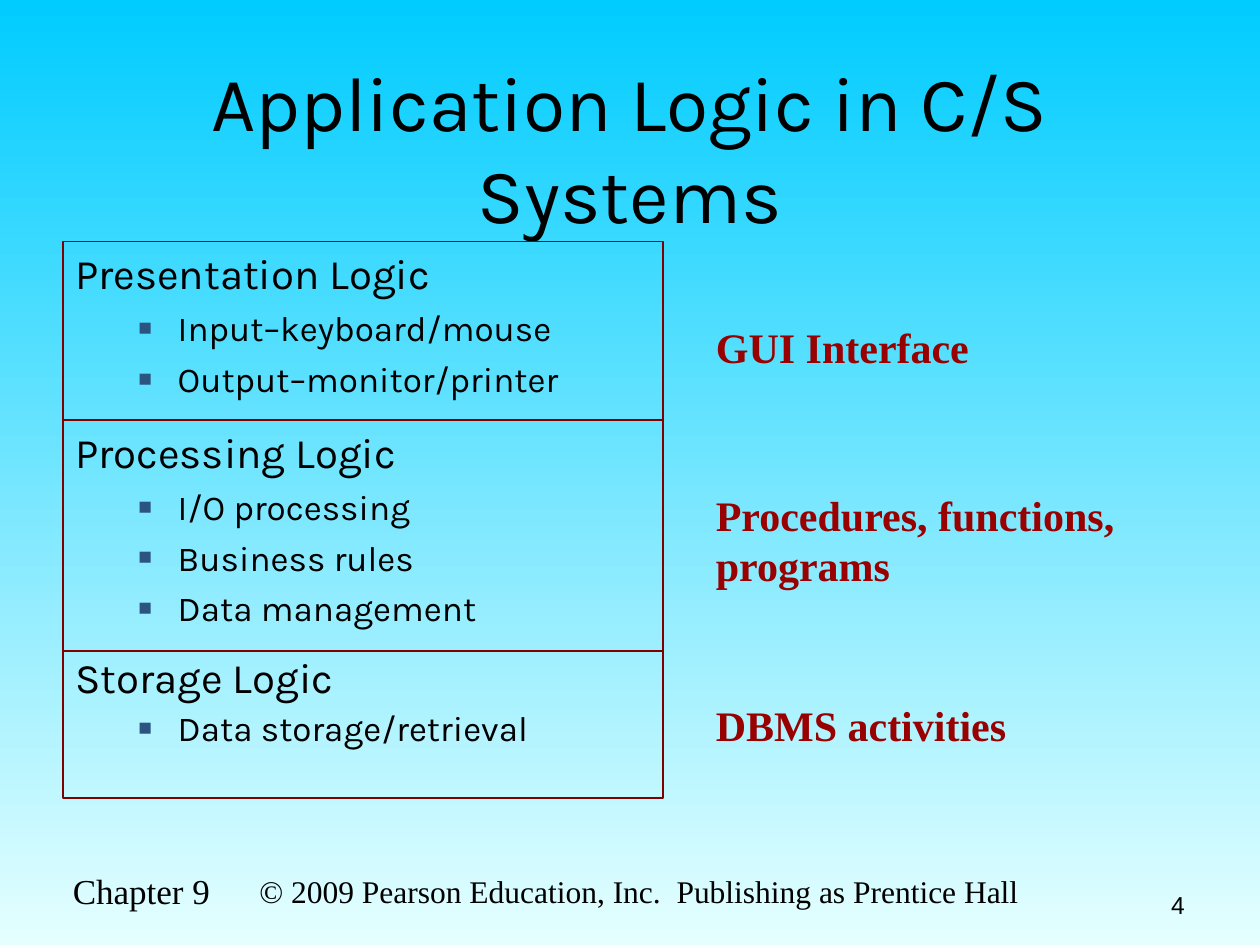
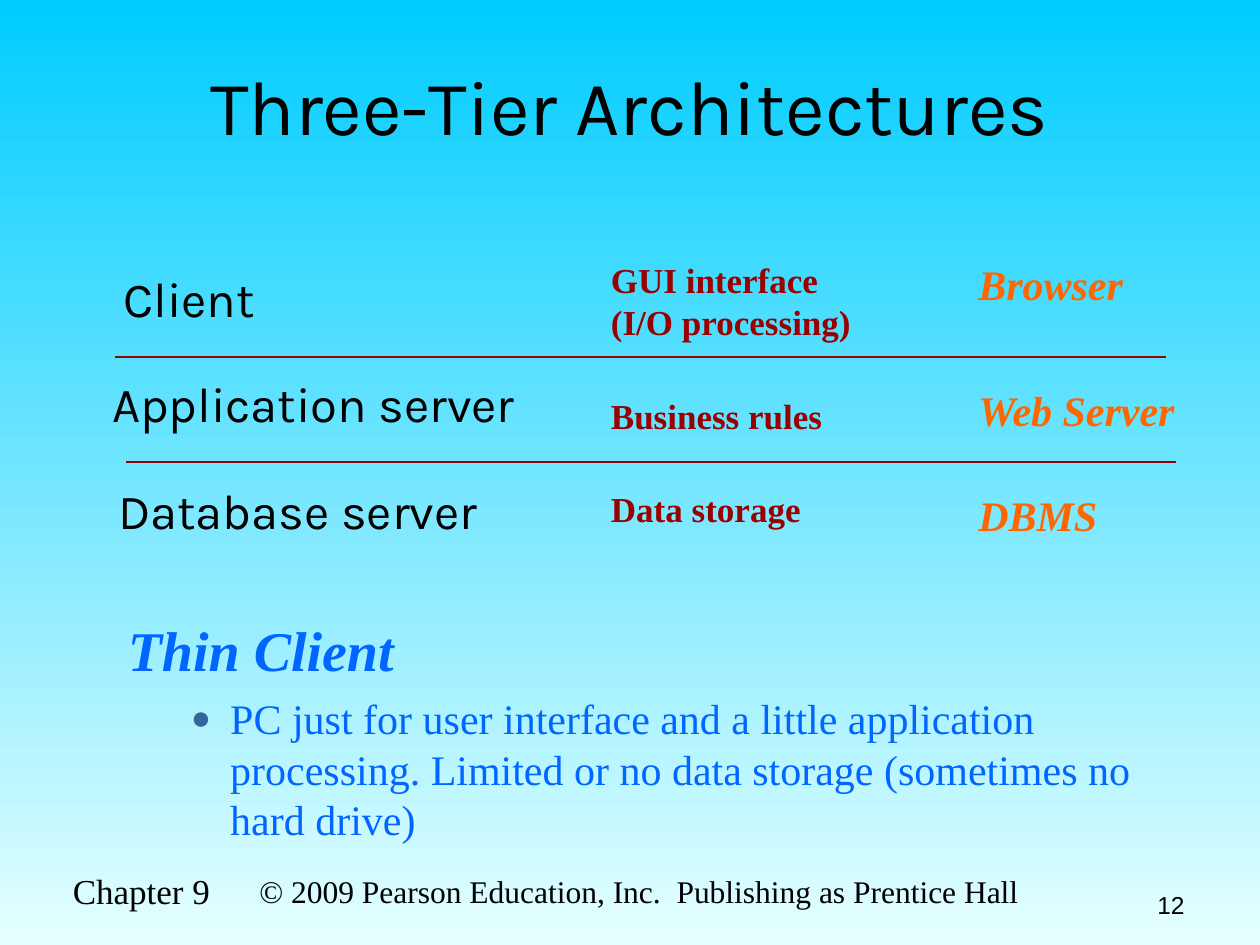
from dataclasses import dataclass, replace

from lxml import etree
from pptx import Presentation
from pptx.dml.color import RGBColor
from pptx.enum.shapes import MSO_CONNECTOR, MSO_SHAPE
from pptx.enum.text import MSO_ANCHOR, PP_ALIGN
from pptx.oxml.ns import qn
from pptx.util import Pt

LEFT, CENTER, RIGHT = PP_ALIGN.LEFT, PP_ALIGN.CENTER, PP_ALIGN.RIGHT
TOP, MIDDLE, BOTTOM = MSO_ANCHOR.TOP, MSO_ANCHOR.MIDDLE, MSO_ANCHOR.BOTTOM
RECTANGLE, STRAIGHT = MSO_SHAPE.RECTANGLE, MSO_CONNECTOR.STRAIGHT

COLORS = {
    "sky": "00CCFF",
    "pale": "E5FFFF",
    "text": "000000",
    "red": "990000",
    "frame": "800000",
    "orange": "FF6600",
    "blue": "0066FF",
    "square": "2B5481",
    "dot": "336699",
}
SERIF, SANS, PLAIN = "Times New Roman", "Karla", "Arial"


@dataclass(frozen=True)
class Style:
    size: float
    font: str = SERIF
    color: str = "text"
    bold: bool = False
    italic: bool = False


@dataclass(frozen=True)
class Bullet:
    symbol: str
    color: str
    percent: int


@dataclass(frozen=True)
class Line:
    text: str
    style: Style
    bullet: Bullet | None = None
    space_before: float = 0
    spacing: float | None = None


@dataclass(frozen=True)
class Box:
    left: float
    top: float
    width: float
    height: float
    align: PP_ALIGN = LEFT
    anchor: MSO_ANCHOR = TOP


@dataclass(frozen=True)
class Layer:
    heading: str
    items: tuple[str, ...]
    height: float
    spacing: float | None = None


TITLE = Style(44, SANS)
LAYER_HEADING = Style(24, SANS)
LAYER_ITEM = Style(20, SANS)
LAYER_NOTE = Style(24, color="red", bold=True)
TIER = Style(28, SANS)
TIER_TASK = Style(20, color="red", bold=True)
TIER_EXAMPLE = Style(24, color="orange", bold=True, italic=True)
CLIENT_HEADING = Style(32, color="blue", bold=True, italic=True)
CLIENT_ITEM = Style(24, color="blue")

SQUARE = Bullet("■", "square", 65)
DOT = Bullet("●", "dot", 80)

LAYERS = (
    Layer("Presentation Logic", ("Input–keyboard/mouse", "Output–monitor/printer"), 102),
    Layer("Processing Logic", ("I/O processing", "Business rules", "Data management"), 132),
    Layer("Storage Logic", ("Data storage/retrieval",), 84, spacing=0.9),
)
LAYER_NOTES = (
    (Box(402, 180, 260, 36), ("GUI Interface",)),
    (Box(402, 276, 260, 65), ("Procedures, functions,", "programs")),
    (Box(402, 396, 260, 36), ("DBMS activities",)),
)
TIERS = (
    (Box(63.5, 150, 270, 41), ("Client",)),
    (Box(57, 210, 270, 41), ("Application server",)),
    (Box(60.5, 271, 270, 41), ("Database server",)),
)
TIER_TASKS = (
    (Box(342, 144, 192, 55), ("GUI interface", "(I/O processing)")),
    (Box(342, 222, 192, 32), ("Business rules",)),
    (Box(342, 275, 192, 32), ("Data storage",)),
)
TIER_EXAMPLES = (
    (Box(552, 144, 150, 36), ("Browser",)),
    (Box(552, 216, 150, 36), ("Web Server",)),
    (Box(552, 276, 150, 36), ("DBMS",)),
)


def rgb(name: str) -> RGBColor:
    return RGBColor.from_string(COLORS[name])


def add_bullet(paragraph, bullet: Bullet) -> None:
    """Give a paragraph a hanging indent and a coloured bullet."""
    properties = paragraph._p.get_or_add_pPr()
    properties.set("marL", str(Pt(58.5)))
    properties.set("indent", str(-Pt(22.5)))
    color = etree.SubElement(properties, qn("a:buClr"))
    etree.SubElement(color, qn("a:srgbClr"), val=COLORS[bullet.color])
    etree.SubElement(properties, qn("a:buSzPct"), val=str(bullet.percent * 1000))
    etree.SubElement(properties, qn("a:buFont"), typeface=PLAIN)
    etree.SubElement(properties, qn("a:buChar"), char=bullet.symbol)


def fill_text(shape, box: Box, lines: list[Line]) -> None:
    frame = shape.text_frame
    frame.word_wrap = True
    frame.vertical_anchor = box.anchor
    for index, line in enumerate(lines):
        paragraph = frame.paragraphs[0] if index == 0 else frame.add_paragraph()
        if line.bullet:
            add_bullet(paragraph, line.bullet)
        paragraph.alignment = box.align
        paragraph.space_before = Pt(line.space_before)
        if line.spacing:
            paragraph.line_spacing = line.spacing
        run = paragraph.add_run()
        run.text = line.text
        font = run.font
        font.name, font.size = line.style.font, Pt(line.style.size)
        font.bold, font.italic = line.style.bold, line.style.italic
        font.color.rgb = rgb(line.style.color)


def bounds(box: Box) -> tuple[Pt, ...]:
    return tuple(Pt(value) for value in (box.left, box.top, box.width, box.height))


def add_text(slide, box: Box, style: Style, *texts: str) -> None:
    shape = slide.shapes.add_textbox(*bounds(box))
    fill_text(shape, box, [Line(text, style) for text in texts])


def add_layer(slide, layer: Layer, box: Box) -> None:
    shape = slide.shapes.add_shape(RECTANGLE, *bounds(box))
    shape.shadow.inherit = False
    shape.fill.background()
    shape.line.color.rgb = rgb("frame")
    shape.line.width = Pt(0.75)
    lines = [Line(layer.heading, LAYER_HEADING, spacing=layer.spacing)]
    lines += [Line(item, LAYER_ITEM, SQUARE, 5, layer.spacing) for item in layer.items]
    fill_text(shape, box, lines)


def add_divider(slide, left: float, top: float) -> None:
    connector = slide.shapes.add_connector(
        STRAIGHT, Pt(left), Pt(top), Pt(left + 600), Pt(top))
    connector.line.color.rgb = rgb("red")
    connector.line.width = Pt(1)
    etree.SubElement(connector._element.spPr, qn("a:effectLst"))


def add_slide(presentation, title: str, title_top: float, number: int):
    """Add a slide with the shared background, footer and title."""
    slide = presentation.slides.add_slide(presentation.slide_layouts[6])
    fill = slide.background.fill
    fill.gradient()
    fill.gradient_angle = 270
    for stop, color in zip(fill.gradient_stops, ("sky", "pale")):
        stop.color.rgb = rgb(color)
    add_text(slide, Box(34.5, 493.5, 110, 32), Style(20), "Chapter 9")
    add_text(slide, Box(114, 486, 502.5, 37.5, CENTER, BOTTOM), Style(18),
             "© 2009 Pearson Education, Inc.  Publishing as Prentice Hall")
    add_text(slide, Box(516, 491.5, 168, 37.5, RIGHT, BOTTOM),
             Style(14, PLAIN), str(number))
    add_text(slide, Box(36, title_top, 648, 108, CENTER, MIDDLE), TITLE, title)
    return slide


def build_application_logic(presentation) -> None:
    slide = add_slide(presentation, "Application Logic in C/S Systems", 30, 4)
    for box, texts in LAYER_NOTES:
        add_text(slide, box, LAYER_NOTE, *texts)
    box = Box(36, 138, 343, 0)
    for layer in LAYERS:
        box = replace(box, top=box.top + box.height, height=layer.height)
        add_layer(slide, layer, box)


def build_three_tier(presentation) -> None:
    slide = add_slide(presentation, "Three-Tier Architectures", 6, 12)
    body = Box(66, 348, 612, 144)
    shape = slide.shapes.add_textbox(*bounds(body))
    fill_text(shape, body, [
        Line("Thin Client", CLIENT_HEADING),
        Line("PC just for user interface and a little application processing. "
             "Limited or no data storage (sometimes no hard drive)",
             CLIENT_ITEM, DOT, 6),
    ])
    columns = ((TIERS, TIER), (TIER_TASKS, TIER_TASK), (TIER_EXAMPLES, TIER_EXAMPLE))
    for entries, style in columns:
        for box, texts in entries:
            add_text(slide, box, style, *texts)
    add_divider(slide, 66, 204)
    add_divider(slide, 72, 264)


def main() -> None:
    presentation = Presentation()
    presentation.slide_width, presentation.slide_height = Pt(720), Pt(540)
    build_application_logic(presentation)
    build_three_tier(presentation)
    presentation.save("out.pptx")


if __name__ == "__main__":
    main()
